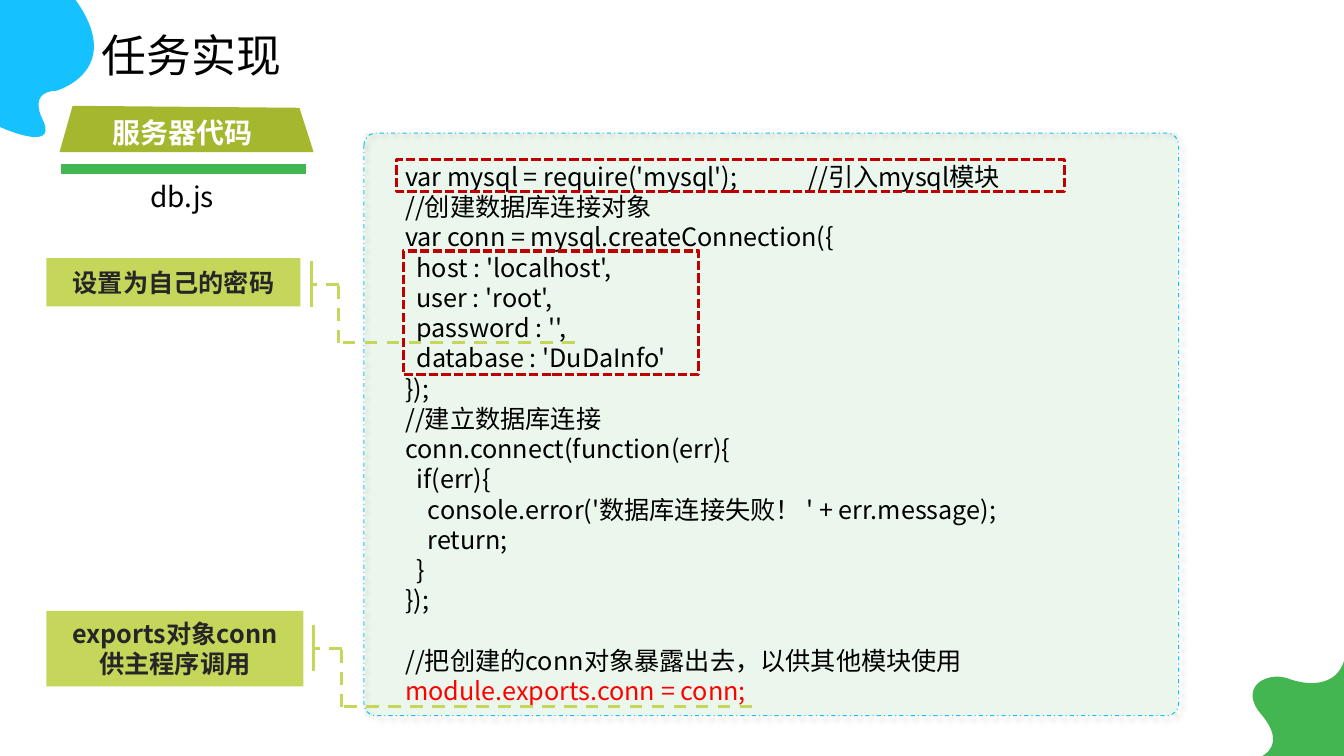
from pptx import Presentation
from pptx.dml.color import RGBColor
from pptx.enum.dml import MSO_LINE_DASH_STYLE as DASH
from pptx.enum.shapes import MSO_CONNECTOR, MSO_SHAPE
from pptx.enum.text import MSO_ANCHOR, PP_ALIGN
from pptx.oxml import parse_xml
from pptx.oxml.ns import nsdecls, qn
from pptx.util import Inches, Pt
from lxml import etree

FONT = "Noto Sans CJK SC"
BLACK, WHITE, RED, DARK_RED = "000000", "FFFFFF", "FF0000", "C00000"
BLUE, GREEN, OLIVE, LIME, GRAY = "15C2FF", "43B651", "A5B72E", "C6D65B", "262626"

CODE = """var mysql = require('mysql');\t//引入mysql模块
//创建数据库连接对象
var conn = mysql.createConnection({
  host : 'localhost',
  user : 'root',
  password : '',
  database : 'DuDaInfo'
});
//建立数据库连接
conn.connect(function(err){
  if(err){
    console.error('数据库连接失败！ ' + err.message);
    return;
  }
});
//把创建的conn对象暴露出去，以供其他模块使用
module.exports.conn = conn;""".split("\n")

# A start point, then two control points and an end point for each curve
TOP_BLOB = [
    (0, 1.26),
    (0, 1.26), (0.57, 1.52), (0.43, 1.2),
    (0.43, 1.2), (0.26, 0.91), (0.56, 0.9),
    (0.56, 0.9), (1.25, 0.7), (0.75, 0),
    (0, 0), (0, 0), (0, 0)]
BOTTOM_BLOB = [
    (12.52, 7.5),
    (12.52, 7.5), (12.76, 7.39), (12.52, 7.1),
    (12.27, 6.82), (12.56, 6.66), (12.77, 6.73),
    (12.98, 6.81), (13.25, 6.81), (13.33, 6.56),
    (13.33, 7.5), (13.33, 7.5), (13.33, 7.5)]


def rgb(color):
    return RGBColor.from_string(color)


def style(shape, fill=None, line=None, width=1, dash=None):
    shape.shadow.inherit = False
    if fill:
        shape.fill.solid()
        shape.fill.fore_color.rgb = rgb(fill)
    else:
        shape.fill.background()
    if line:
        shape.line.color.rgb = rgb(line)
        shape.line.width = Pt(width)
        shape.line.dash_style = dash
    else:
        shape.line.fill.background()


def add_box(s, x, y, w, h, kind=MSO_SHAPE.RECTANGLE, **look):
    shape = s.shapes.add_shape(kind, Inches(x), Inches(y), Inches(w), Inches(h))
    style(shape, **look)
    return shape


def add_outline(s, points, fill):
    hundredths = [(x * 100, y * 100) for x, y in points]
    builder = s.shapes.build_freeform(*hundredths[0], scale=Inches(0.01))
    builder.add_line_segments(hundredths[1:], close=True)
    shape = builder.convert_to_shape()
    style(shape, fill)
    return shape


def add_blob(s, points, fill):
    """Draw the outline, then turn each three line segments into one curve."""
    shape = add_outline(s, points, fill)
    segments = list(shape._element.iter(qn("a:lnTo")))[:len(points) - 1]
    for i in range(0, len(segments), 3):
        curve = etree.Element(qn("a:cubicBezTo"))
        segments[i].addprevious(curve)
        for segment in segments[i:i + 3]:
            curve.append(segment[0])
            segment.getparent().remove(segment)


def write(tf, lines, size, color, bold=False, align=PP_ALIGN.LEFT, wrap=True):
    tf.word_wrap = wrap
    for i, line in enumerate(lines):
        p = tf.paragraphs[0] if i == 0 else tf.add_paragraph()
        p.text = line
        p.alignment = align
        if "\t" in line:
            tabs = etree.SubElement(p._p.get_or_add_pPr(), qn("a:tabLst"))
            etree.SubElement(tabs, qn("a:tab"), pos=str(Inches(4)), algn="l")
        p.font.name, p.font.size, p.font.bold = FONT, Pt(size), bold
        p.font.color.rgb = rgb(color)
        etree.SubElement(p.font._element, qn("a:ea"), typeface=FONT)


def add_text(s, x, y, w, h, lines, size, color, **look):
    tf = s.shapes.add_textbox(Inches(x), Inches(y), Inches(w), Inches(h)).text_frame
    write(tf, lines, size, color, **look)
    return tf


def add_line(s, start, end, dash=None):
    line = s.shapes.add_connector(MSO_CONNECTOR.STRAIGHT, *map(Inches, start + end))
    line.line.color.rgb = rgb(LIME)
    line.line.width = Pt(2.25)
    line.line.dash_style = dash
    etree.SubElement(line._element.spPr, qn("a:effectLst"))


def add_callout(s, y, w, h, lines, bar_x, bend_x, target):
    label = add_box(s, 0.46, y, w, h, fill=LIME)
    label.text_frame.vertical_anchor = MSO_ANCHOR.MIDDLE
    write(label.text_frame, lines, 18, GRAY, bold=True, align=PP_ALIGN.CENTER)
    middle = target[1] - 0.58
    route = [target, (bend_x, target[1]), (bend_x, middle), (bar_x, middle)]
    for start, end in zip(route, route[1:]):
        add_line(s, start, end, DASH.DASH)
    add_line(s, (bar_x, middle - 0.23), (bar_x, middle + 0.23))


def add_code_panel(s):
    frame = add_box(s, 3.61, 1.32, 8.08, 5.78, MSO_SHAPE.ROUNDED_RECTANGLE,
                    line=BLUE, width=0.75, dash=DASH.DASH_DOT)
    frame.adjustments[0] = 0.021
    frame._element.spPr.find(qn("a:effectLst")).append(parse_xml(
        f'<a:outerShdw {nsdecls("a")} blurRad="50800" dist="38100" dir="2700000">'
        '<a:srgbClr val="000000"><a:alpha val="40000"/></a:srgbClr></a:outerShdw>'))
    tint = add_box(s, 3.62, 1.32, 8.06, 5.78, fill=GREEN)
    color = tint._element.spPr.find(qn("a:solidFill"))[0]
    etree.SubElement(color, qn("a:alpha"), val="10000")

    tf = add_text(s, 3.92, 1.55, 7.78, 5.55, CODE, 18, BLACK)
    tf.paragraphs[-2].space_before = Pt(21.6)
    tf.paragraphs[-1].font.color.rgb = rgb(RED)
    for area in ((3.93, 1.58, 6.63, 0.32), (4, 2.49, 2.93, 1.23)):
        add_box(s, *area, line=DARK_RED, width=2.25, dash=DASH.SQUARE_DOT)


def add_title(s, text):
    title = s.shapes.title
    title.left, title.top, title.width, title.height = map(Inches, (0.91, 0.22, 1.98, 0.64))
    title.text_frame.vertical_anchor = MSO_ANCHOR.TOP
    title.text_frame.margin_right = 0
    write(title.text_frame, [text], 32, BLACK)


def add_file_heading(s):
    add_text(s, 1.39, 1.73, 1.45, 0.44, ["db.js"], 20, BLACK)
    add_box(s, 0.61, 1.63, 2.42, 0.09, fill=GREEN, line=GREEN)
    add_outline(s, [(0.72, 1.05), (2.97, 1.07), (3.11, 1.51), (0.59, 1.51)], OLIVE)
    add_text(s, 1.02, 1.1, 1.59, 0.44, ["服务器代码"], 20, WHITE, bold=True, wrap=False)


def main():
    prs = Presentation()
    prs.slide_width, prs.slide_height = Inches(13.33), Inches(7.5)
    s = prs.slides.add_slide(prs.slide_layouts[5])
    # Title and corner decoration
    add_blob(s, TOP_BLOB, BLUE)
    add_blob(s, BOTTOM_BLOB, GREEN)
    add_title(s, "任务实现")
    # Code and its explanations
    add_code_panel(s)
    add_callout(s, 2.56, 2.52, 0.48, ["设置为自己的密码"], 3.09, 3.36, (5.7, 3.4))
    add_callout(s, 6.06, 2.55, 0.75, ["exports对象conn", "供主程序调用"],
                3.11, 3.39, (7.46, 7.01))
    # File name
    add_file_heading(s)
    prs.save("out.pptx")


if __name__ == "__main__":
    main()
